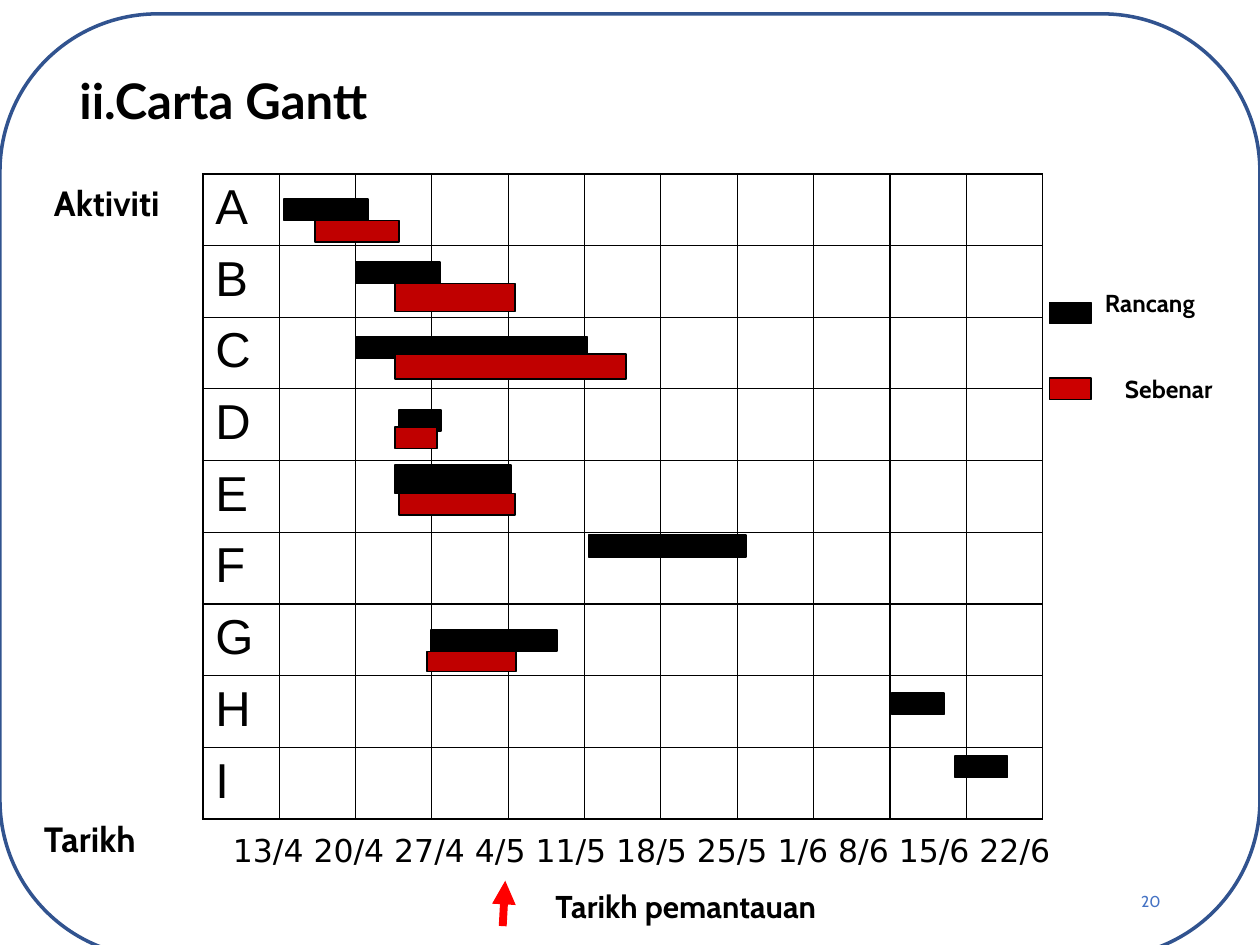
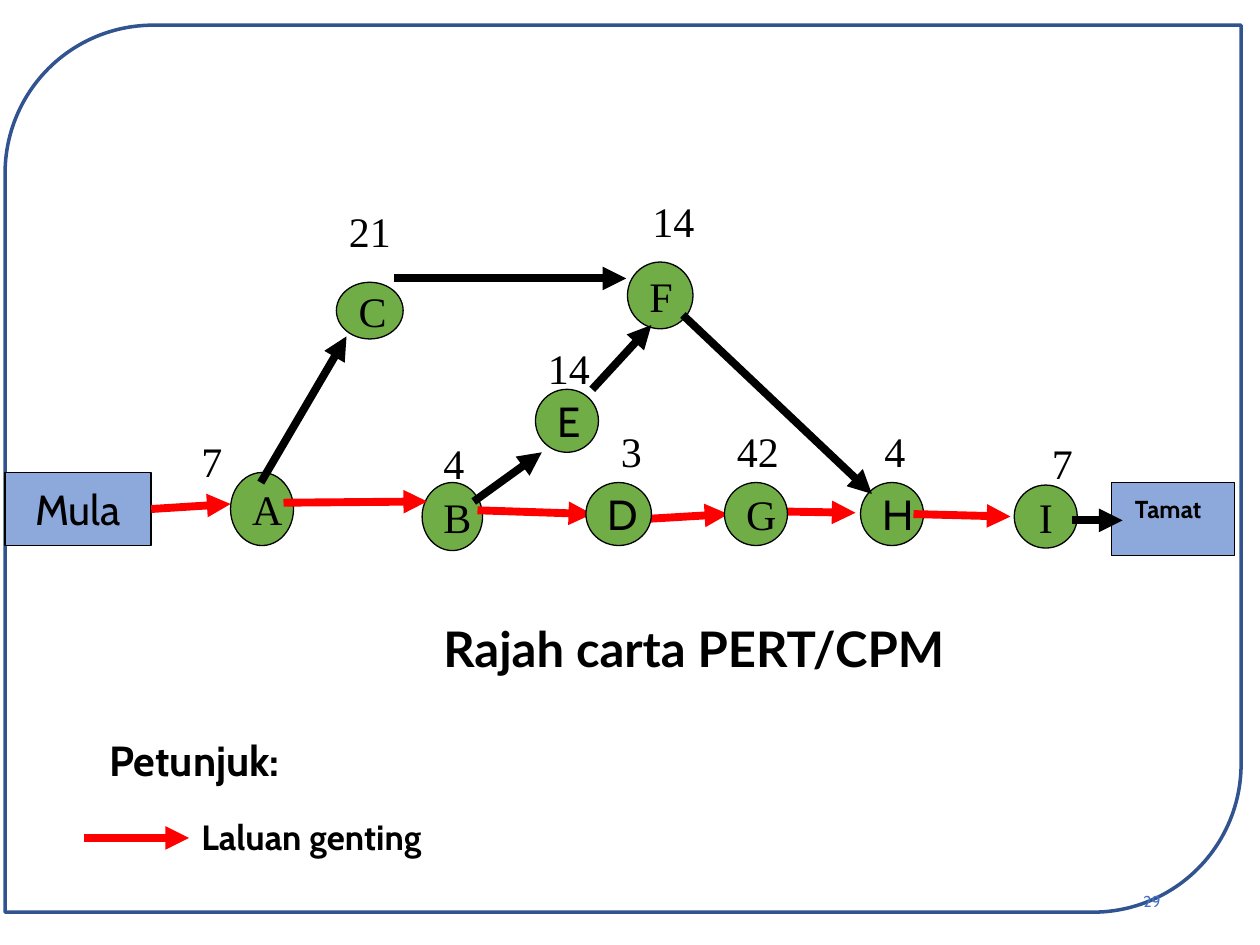
from lxml import etree
from pptx import Presentation
from pptx import util as u
from pptx.dml.color import RGBColor
from pptx.enum import shapes, text
from pptx.oxml.ns import qn

BLACK, WHITE, RED = "000000", "FFFFFF", "FF0000"
FRAME_BLUE, NUMBER_BLUE, BOX_BLUE = "31538F", "4472C4", "8DA9DB"
NODE_GREEN, ACTUAL_RED, LEGEND_RED = "70AD47", "C00000", "CC0000"
BODY, TITLE, SERIF, LETTERS, DATES = "Cabin", "Lato", "Times New Roman", "Arial", "DejaVu Sans"
SHAPE, ALIGN, ANCHOR = shapes.MSO_SHAPE, text.PP_ALIGN, text.MSO_ANCHOR

# Gantt chart: grid origin and cell size in inches
GRID_LEFT, GRID_TOP, COLUMN, ROW, COLUMNS = 1.61, 1.38, 0.606, 0.569, 11
ACTIVITIES = "ABCDEFGHI"
WEEKS = ["13/4", "20/4", "27/4", "4/5", "11/5", "18/5", "25/5", "1/6", "8/6", "15/6", "22/6"]
# activity: start column, columns spanned, drop within its row, height in rows
PLANNED = {
    "A": (1.06, 1.10, 0.35, 0.3),
    "B": (2.01, 1.10, 0.23, 0.3),
    "C": (2.01, 3.02, 0.27, 0.3),
    "D": (2.57, 0.55, 0.29, 0.3),
    "E": (2.52, 1.52, 0.06, 0.4),
    "F": (5.05, 2.06, 0.04, 0.3),
    "G": (2.99, 1.65, 0.36, 0.3),
    "H": (9.02, 0.69, 0.24, 0.3),
    "I": (9.85, 0.69, 0.12, 0.3),
}
ACTUAL = {
    "A": (1.47, 1.10, 0.65, 0.3),
    "B": (2.52, 1.57, 0.53, 0.39),
    "C": (2.52, 3.02, 0.51, 0.35),
    "D": (2.52, 0.55, 0.53, 0.3),
    "E": (2.57, 1.52, 0.46, 0.3),
    "G": (2.94, 1.16, 0.66, 0.28),
}
# legend: label, label box, swatch top, swatch colour
LEGEND = [
    ("Rancang", (8.67, 2.24, 1.33, 0.34), 2.4, BLACK),
    ("Sebenar", (8.83, 2.92, 1.17, 0.34), 3.0, LEGEND_RED),
]
GANTT_LABELS = [
    ("Aktiviti", (0.33, 1.39, 1.2, 0.44), 20),
    ("Tarikh", (0.25, 6.44, 1.09, 0.44), 20),
    ("Tarikh pemantauan", (4.31, 6.99, 2.64, 0.4), 18),
]

# PERT network: node box, font
NODES = {
    "A": ((1.83, 3.75, 0.5, 0.58), SERIF),
    "B": ((3.35, 3.83, 0.48, 0.54), SERIF),
    "C": ((2.67, 2.24, 0.53, 0.45), SERIF),
    "D": ((4.65, 3.83, 0.52, 0.5), BODY),
    "E": ((4.25, 3.09, 0.5, 0.5), BODY),
    "F": ((4.98, 2.08, 0.52, 0.53), SERIF),
    "G": ((5.75, 3.83, 0.5, 0.5), SERIF),
    "H": ((6.83, 3.83, 0.5, 0.5), BODY),
    "I": ((8.05, 3.85, 0.5, 0.5), SERIF),
}
NODES_OVER_ARROWS = "DG"
# days, left, top, width
DURATIONS = [
    ("7", 1.5, 3.41, 0.57), ("4", 3.42, 3.42, 0.36), ("21", 2.67, 1.58, 0.53),
    ("3", 4.83, 3.33, 0.36), ("14", 4.25, 2.67, 0.53), ("14", 5.08, 1.5, 0.53),
    ("42", 5.75, 3.33, 0.53), ("4", 6.92, 3.33, 0.36), ("7", 8.25, 3.42, 0.36),
]
CRITICAL_PATH = [
    ((2.25, 3.99), (3.39, 3.98)), ((3.79, 4.05), (4.7, 4.08)), ((5.11, 4.12), (5.78, 4.08)),
    ((6.23, 4.06), (6.79, 4.07)), ((7.25, 4.08), (8.02, 4.1)),
]
OTHER_PATHS = [
    ((2.07, 3.83), (2.75, 2.67)), ((3.13, 2.21), (4.97, 2.21)), ((3.76, 3.98), (4.3, 3.59)),
    ((4.7, 3.09), (5.17, 2.58)), ((5.42, 2.5), (6.92, 3.92)), ((8.51, 4.13), (8.91, 4.13)),
]
PERT_LABELS = [
    ("Tamat", (8.91, 3.87, 0.86, 0.46), 14),
    ("Petunjuk:", (0.77, 5.78, 1.83, 0.5), 24),
    ("Laluan genting", (1.5, 6.42, 2.28, 0.44), 20),
]


def color(value):
    return RGBColor.from_string(value)


def inches(box):
    return [u.Inches(length) for length in box]


def write(frame, words, size=24, font=BODY, ink=BLACK, bold=False,
          align=ALIGN.LEFT, anchor=ANCHOR.TOP):
    frame.word_wrap = True
    frame.vertical_anchor = anchor
    frame.margin_left = frame.margin_right = u.Inches(0.1)
    frame.margin_top = frame.margin_bottom = u.Inches(0.05)
    paragraph = frame.paragraphs[0]
    paragraph.alignment = align
    run = paragraph.add_run()
    run.text = words
    run.font.size, run.font.name, run.font.bold = u.Pt(size), font, bold
    run.font.color.rgb = color(ink)
    return paragraph


def add_label(slide, words, box, **style):
    write(slide.shapes.add_textbox(*inches(box)).text_frame, words, **style)


def add_box(slide, kind, box, fill, line=BLACK, width=0.75):
    shape = slide.shapes.add_shape(kind, *inches(box))
    shape.shadow.inherit = False
    shape.fill.solid()
    shape.fill.fore_color.rgb = color(fill)
    shape.line.color.rgb = color(line)
    shape.line.width = u.Pt(width)
    return shape


def add_arrow(slide, start, end, ink):
    arrow = slide.shapes.add_connector(shapes.MSO_CONNECTOR.STRAIGHT, *inches(start + end))
    arrow.line.color.rgb = color(ink)
    arrow.line.width = u.Pt(4.5)
    etree.SubElement(arrow.line._get_or_add_ln(), qn("a:tailEnd"), type="triangle")
    etree.SubElement(arrow.element.spPr, qn("a:effectLst"))
    return arrow


def add_framed_slide(presentation, frame_kind, frame_box, adjustments, number, title, title_box, **style):
    slide = presentation.slides.add_slide(presentation.slide_layouts[5])
    frame = add_box(slide, frame_kind, frame_box, WHITE, FRAME_BLUE, 2)
    for index, value in enumerate(adjustments):
        frame.adjustments[index] = value
    heading = slide.shapes.title
    heading.element.addprevious(frame.element)
    heading.left, heading.top, heading.width, heading.height = inches(title_box)
    write(heading.text_frame, title, size=28, font=TITLE, bold=True, **style)
    heading.text_frame.auto_size = text.MSO_AUTO_SIZE.NONE
    add_label(slide, number, (7.06, 6.95, 2.25, 0.4), size=9, ink=NUMBER_BLUE,
              align=ALIGN.RIGHT, anchor=ANCHOR.MIDDLE)
    return slide


def add_borders(cell, outer_sides):
    properties = cell._tc.get_or_add_tcPr()
    for side in "LRTB":
        width = 1.08 if side in outer_sides else 0.75
        line = etree.SubElement(properties, qn(f"a:ln{side}"), w=str(u.Pt(width)))
        fill = etree.SubElement(line, qn("a:solidFill"))
        etree.SubElement(fill, qn("a:srgbClr"), val=BLACK)


def add_grid(slide):
    rows = len(ACTIVITIES)
    table = slide.shapes.add_table(rows, COLUMNS, *inches(
        (GRID_LEFT, GRID_TOP, COLUMNS * COLUMN, rows * ROW))).table
    table.first_row = table.horz_banding = False
    for column in table.columns:
        column.width = u.Inches(COLUMN)
    for r, activity in enumerate(ACTIVITIES):
        table.rows[r].height = u.Inches(ROW)
        for c in range(COLUMNS):
            cell = table.cell(r, c)
            edges = {"L": c == 0, "R": c == COLUMNS - 1, "T": r == 0, "B": r == rows - 1}
            add_borders(cell, [side for side, outer in edges.items() if outer])
            cell.fill.background()
        first = table.cell(r, 0)
        write(first.text_frame, activity, size=28, font=LETTERS).line_spacing = 0.93
        first.margin_top = u.Inches(0.08)


def build_gantt(presentation):
    slide = add_framed_slide(presentation, SHAPE.ROUNDED_RECTANGLE, (0, 0.11, 10, 7.49), [0.167],
                             "20", "ii.Carta Gantt", (0.53, 0.51, 9.06, 0.57))
    add_grid(slide)
    for bars, fill in ((PLANNED, BLACK), (ACTUAL, ACTUAL_RED)):
        for activity, (start, span, drop, height) in bars.items():
            top = GRID_TOP + (ACTIVITIES.index(activity) + drop) * ROW
            add_box(slide, SHAPE.RECTANGLE,
                    (GRID_LEFT + start * COLUMN, top, span * COLUMN, height * ROW), fill, width=1)
    for words, box, swatch_top, fill in LEGEND:
        add_box(slide, SHAPE.RECTANGLE, (8.33, swatch_top, 0.33, 0.17), fill)
        add_label(slide, words, box, size=14, bold=True)
    for words, box, size in GANTT_LABELS:
        add_label(slide, words, box, size=size, bold=True)
    add_label(slide, " ".join(WEEKS), (1.75, 6.55, 7.08, 0.4), size=18, font=DATES)
    add_arrow(slide, (3.99, 7.35), (4.01, 6.99), RED)


def add_node(slide, name):
    box, font = NODES[name]
    node = add_box(slide, SHAPE.OVAL, box, NODE_GREEN)
    write(node.text_frame, name, font=font, align=ALIGN.CENTER, anchor=ANCHOR.MIDDLE)


def build_pert(presentation):
    slide = add_framed_slide(presentation, SHAPE.ROUND_2_DIAG_RECTANGLE, (0.04, 0.2, 9.81, 7.04),
                             [0.167, 0], "29", "Rajah carta PERT/CPM", (2.75, 4.79, 5.51, 0.71),
                             align=ALIGN.CENTER, anchor=ANCHOR.MIDDLE)
    start_box = add_box(slide, SHAPE.RECTANGLE, (0.04, 3.75, 1.16, 0.58), BOX_BLUE)
    write(start_box.text_frame, "Mula", align=ALIGN.CENTER, anchor=ANCHOR.MIDDLE)
    add_box(slide, SHAPE.RECTANGLE, (8.82, 3.83, 0.98, 0.58), BOX_BLUE)
    for name in NODES:
        if name not in NODES_OVER_ARROWS:
            add_node(slide, name)
    add_arrow(slide, (1.2, 4), (1.83, 4), RED).begin_connect(start_box, 3)
    for paths, ink in ((CRITICAL_PATH, RED), (OTHER_PATHS, BLACK)):
        for start, end in paths:
            add_arrow(slide, start, end, ink)
    for name in NODES_OVER_ARROWS:
        add_node(slide, name)
    for days, left, top, width in DURATIONS:
        add_label(slide, days, (left, top, width, 0.5), font=SERIF)
    for words, box, size in PERT_LABELS:
        add_label(slide, words, box, size=size, bold=True)
    add_arrow(slide, (0.67, 6.65), (1.5, 6.65), RED)


def main():
    presentation = Presentation()
    presentation.slide_width, presentation.slide_height = inches((10, 7.5))
    build_gantt(presentation)
    build_pert(presentation)
    presentation.save("out.pptx")


if __name__ == "__main__":
    main()
